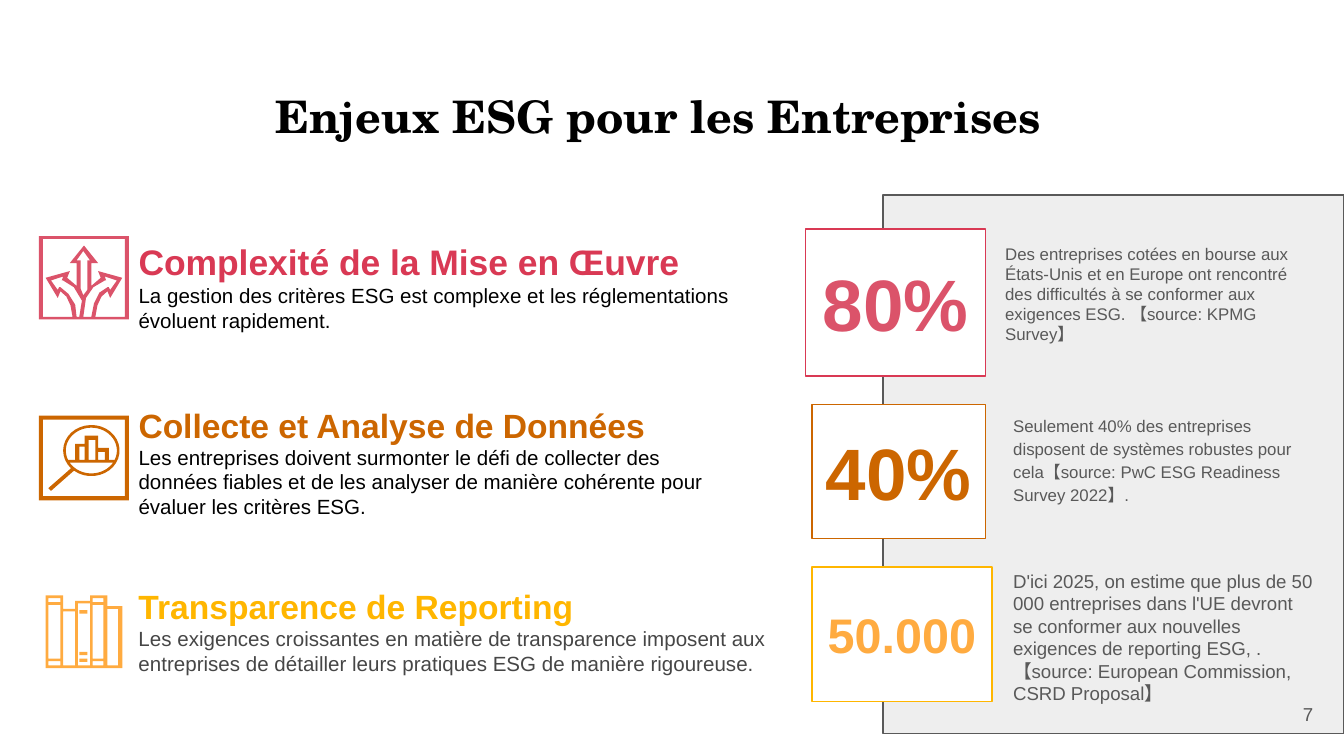
"""Build the slide on ESG challenges for companies."""
from dataclasses import dataclass
from math import cos, radians, sin

from pptx import Presentation
from pptx.dml.color import RGBColor
from pptx.enum.shapes import MSO_SHAPE
from pptx.enum.text import MSO_ANCHOR, PP_ALIGN
from pptx.util import Pt


@dataclass(frozen=True)
class Theme:
    sans: str = "Arial"
    serif: str = "TeX Gyre Schola"
    black: str = "000000"
    dark: str = "464646"
    grey: str = "595959"
    panel: str = "EEEEEE"
    white: str = "FFFFFF"
    red: str = "D93954"
    rose: str = "DB536A"
    brown: str = "CC6600"
    yellow: str = "FFB600"
    orange: str = "FFAB40"
    title: int = 24
    lead_heading: int = 19
    heading: int = 18
    body: int = 11
    number: int = 39
    long_number: int = 26
    note: int = 9
    large_note: int = 10


T = Theme()
ICON_UNIT = 0.72
INSET = 7.2


def set_text(tf, lines, inset=INSET, align=PP_ALIGN.LEFT, anchor=MSO_ANCHOR.TOP, spacing=None):
    """Fill a text frame with (text, size, color, bold, font) lines."""
    tf.word_wrap = True
    tf.vertical_anchor = anchor
    tf.margin_left = tf.margin_right = tf.margin_top = tf.margin_bottom = Pt(inset)
    for i, (text, size, color, bold, font) in enumerate(lines):
        p = tf.add_paragraph() if i else tf.paragraphs[0]
        p.text = text
        p.alignment = align
        if spacing:
            p.line_spacing = spacing
        p.font.name = font
        p.font.size = Pt(size)
        p.font.bold = bold
        p.font.color.rgb = RGBColor.from_string(color)


def add_text(s, box, lines, **options):
    """Add a text box."""
    sp = s.shapes.add_textbox(*map(Pt, box))
    set_text(sp.text_frame, lines, **options)


def paint(sp, fill, line=None):
    """Set the fill and outline of a shape and drop its shadow."""
    sp.shadow.inherit = False
    sp.fill.solid()
    sp.fill.fore_color.rgb = RGBColor.from_string(fill)
    if line:
        sp.line.color.rgb = RGBColor.from_string(line)
        sp.line.width = Pt(0.75)
    else:
        sp.line.fill.background()


def add_box(s, box, fill, line):
    """Add an outlined rectangle."""
    sp = s.shapes.add_shape(MSO_SHAPE.RECTANGLE, *map(Pt, box))
    paint(sp, fill, line)
    return sp


def add_icon(s, left, top, contours, color):
    """Add an outline whose nested contours are holes."""
    def place(points):
        return [(Pt(left + x * ICON_UNIT), Pt(top + y * ICON_UNIT)) for x, y in points]

    first, *rest = map(place, contours)
    fb = s.shapes.build_freeform(*first[0])
    fb.add_line_segments(first[1:], close=True)
    for points in rest:
        fb.move_to(*points[0])
        fb.add_line_segments(points[1:], close=True)
    paint(fb.convert_to_shape(), color)


def rect(left, top, right, bottom):
    """Return the corners of a rectangle."""
    return [(left, top), (right, top), (right, bottom), (left, bottom)]


def arc(rx, ry, start, end):
    """Return points along the magnifier lens between two angles."""
    steps = 32
    angles = [radians(start + (end - start) * i / steps) for i in range(steps + 1)]
    return [(39 + rx * cos(a), 26 + ry * sin(a)) for a in angles]


def arrows_icon():
    """Return the contours of three diverging arrows in a frame."""
    half = [(33.5, 7), (44, 20), (39, 20), (39, 37), (46, 31), (44, 26), (62, 31), (53, 46),
            (51, 41), (46.5, 45), (43.5, 51.5), (42, 60), (64, 60), (64, 2)]
    mirrored = [(67 - x, y) for x, y in reversed(half)]
    left = [(27, 51), (22, 43), (16, 38), (15, 38), (14, 40), (9, 33), (18, 30), (17, 33),
            (18, 33), (26, 38), (32, 48), (30, 60), (28, 60)]
    middle = [(28, 18), (33, 11), (38, 18), (36, 18), (36, 40), (33, 44), (31, 39), (31, 18)]
    right = [(49, 30), (58, 33), (53, 40), (52, 38), (51, 38), (45, 42), (41, 50), (39, 60),
             (33, 60), (35, 46), (40.5, 38), (49, 33), (50, 33)]
    return [rect(0, 0, 67, 62), half + mirrored, left, middle, right]


def magnifier_icon():
    """Return the contours of a framed magnifier over a bar chart."""
    lens = arc(21, 19, 136, 488) + [(9, 56), (7, 54)]
    bars = [(52, 33), (52, 24), (44, 24), (44, 15), (34, 15), (34, 21), (27, 21), (27, 33)]
    inner_bars = [(30, 23, 34, 33), (37, 18, 42, 33), (44, 27, 49, 33)]
    return [rect(0, 0, 67, 63), rect(3, 3, 64, 60), lens, arc(19, 17, 156, 384) + bars,
            arc(19, 17, 32, 148)] + [rect(*b) for b in inner_bars]


def books_icon():
    """Return the contours of a row of books."""
    outline = [(57, 8), (46, 8), (46, 0), (33, 0), (33, 4), (22, 4), (22, 10), (13, 10),
               (13, 0), (0, 0), (0, 54), (57, 54)]
    banded = [rect(x, top, right, bottom) for x, right in ((2, 11), (35, 43))
              for top, bottom in ((2, 5), (7, 47), (49, 52))]
    plain = [rect(13, 12, 22, 52), rect(24, 6, 33, 52), rect(46, 10, 54, 52)]
    labels = [rect(25, y, 31, y + 2.5) for y in (11, 42, 47)]
    return [outline] + banded + plain + labels


def add_topic(s, top, width, heading, size, color, body, body_color):
    """Add a heading with its explanation."""
    add_text(s, (74.2, top, width, 52), [(heading, size, color, True, T.sans),
                                         (body, T.body, body_color, False, T.sans)], inset=0)


def add_figure(s, box, number, size, color, line):
    """Add a framed key figure."""
    sp = add_box(s, box, T.white, line)
    set_text(sp.text_frame, [(number, size, color, True, T.sans)],
             align=PP_ALIGN.CENTER, anchor=MSO_ANCHOR.MIDDLE)


def add_note(s, box, text, size, spacing=None):
    """Add the comment beside a key figure."""
    add_text(s, box, [(text, size, T.grey, False, T.sans)], spacing=spacing)


def main():
    """Build and save the slide."""
    prs = Presentation()
    prs.slide_width, prs.slide_height = Pt(720), Pt(405)
    s = prs.slides.add_slide(prs.slide_layouts[6])

    add_text(s, (140.4, 40.3, 476, 29),
             [("Enjeux ESG pour les Entreprises", T.title, T.black, True, T.serif)])
    add_box(s, (473, 104.4, 247, 288.7), T.panel, T.grey)

    add_topic(s, 128.9, 320, "Complexité de la Mise en Œuvre", T.lead_heading, T.red,
              "La gestion des critères ESG est complexe et les réglementations évoluent "
              "rapidement.", T.black)
    add_topic(s, 216.7, 320, "Collecte et Analyse de Données", T.heading, T.brown,
              "Les entreprises doivent surmonter le défi de collecter des données fiables et de "
              "les analyser de manière cohérente pour évaluer les critères ESG.", T.black)
    add_topic(s, 313.9, 348.5, "Transparence de Reporting", T.heading, T.yellow,
              "Les exigences croissantes en matière de transparence imposent aux entreprises de "
              "détailler leurs pratiques ESG de manière rigoureuse.", T.dark)

    add_figure(s, (431.5, 122.8, 96.5, 78.7), "80%", T.number, T.rose, T.red)
    add_figure(s, (435, 216.7, 93, 72), "40%", T.number, T.brown, T.brown)
    add_figure(s, (435, 303.8, 96.5, 72), "50.000", T.long_number, T.orange, T.yellow)

    add_note(s, (531.4, 123.1, 175.7, 52),
             "Des entreprises cotées en bourse aux États-Unis et en Europe ont rencontré des "
             "difficultés à se conformer aux exigences ESG. 【source: KPMG Survey】", T.note)
    add_note(s, (535.7, 213.8, 167, 52),
             "Seulement 40% des entreprises disposent de systèmes robustes pour cela"
             "【source: PwC ESG Readiness Survey 2022】.", T.note, 1.15)
    add_note(s, (535.7, 298.1, 175.7, 52),
             "D'ici 2025, on estime que plus de 50 000 entreprises dans l'UE devront se conformer "
             "aux nouvelles exigences de reporting ESG, .【source: European Commission, CSRD "
             "Proposal】", T.large_note)

    add_icon(s, 20.9, 126.5, arrows_icon(), T.rose)
    add_icon(s, 20.9, 222.7, magnifier_icon(), T.brown)
    add_icon(s, 24.5, 319, books_icon(), T.orange)

    add_text(s, (667.4, 367.2, 43.2, 31), [("7", T.large_note, T.grey, False, T.sans)],
             align=PP_ALIGN.RIGHT, anchor=MSO_ANCHOR.MIDDLE)
    prs.save("out.pptx")


if __name__ == "__main__":
    main()
